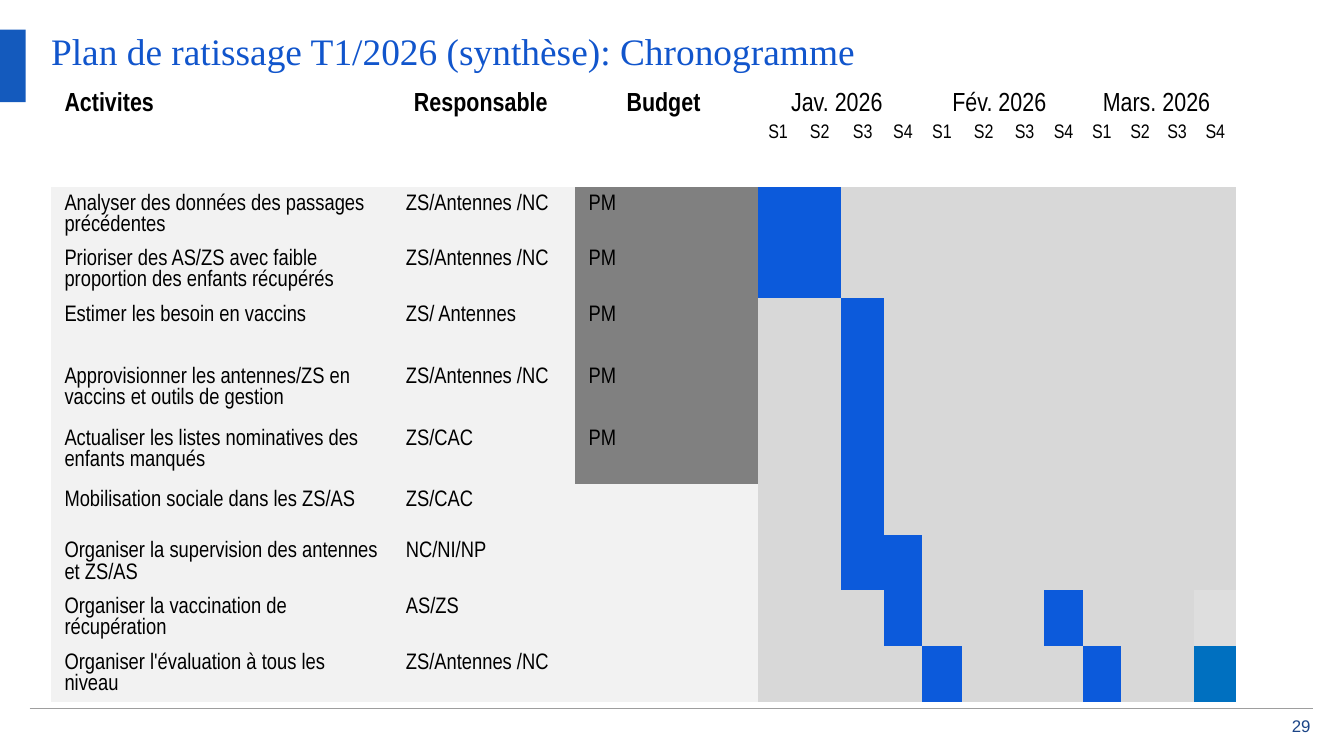
from lxml.etree import SubElement
from pptx import Presentation
from pptx.dml.color import RGBColor
from pptx.enum.shapes import MSO_CONNECTOR, MSO_SHAPE
from pptx.enum.text import MSO_ANCHOR, PP_ALIGN
from pptx.oxml.ns import qn
from pptx.util import Inches, Pt

BLACK = RGBColor(0x00, 0x00, 0x00)
ACCENT = RGBColor(0x14, 0x5A, 0xBD)
TITLE = RGBColor(0x11, 0x55, 0xCC)
NAVY = RGBColor(0x1C, 0x45, 0x87)
RULE = RGBColor(0x9E, 0x9E, 0x9E)
LIGHT = RGBColor(0xF2, 0xF2, 0xF2)
DARK = RGBColor(0x80, 0x80, 0x80)
IDLE = RGBColor(0xD8, 0xD8, 0xD8)
PALE = RGBColor(0xDE, 0xDE, 0xDE)
BUSY = RGBColor(0x0C, 0x5A, 0xDB)
FINAL = RGBColor(0x00, 0x70, 0xC0)

# Content: activity, owner, budget, weeks worked (0 to 11)
HEADINGS = ["Activites", "Responsable ", "Budget "]
MONTHS = ["Jav. 2026 ", "Fév. 2026 ", "Mars. 2026 "]
WEEKS_PER_MONTH = 4
ACTIVITIES = [
    ("Analyser des données des passages précédentes", "ZS/Antennes /NC", "PM", [0, 1]),
    ("Prioriser des AS/ZS avec faible proportion des enfants récupérés", "ZS/Antennes /NC", "PM", [0, 1]),
    ("Estimer les besoin en vaccins", "ZS/ Antennes", "PM", [2]),
    ("Approvisionner les antennes/ZS en vaccins et outils de gestion", "ZS/Antennes /NC", "PM", [2]),
    ("Actualiser les listes nominatives des enfants manqués", "ZS/CAC", "PM", [2]),
    ("Mobilisation sociale dans les ZS/AS", "ZS/CAC", "", [2]),
    ("Organiser la supervision des antennes et ZS/AS", "NC/NI/NP", "", [2, 3]),
    ("Organiser la vaccination de récupération", "AS/ZS", "", [3, 7]),
    ("Organiser l'évaluation à tous les niveau", "ZS/Antennes /NC", "", [4, 8]),
]
SPECIAL = {(7, 11): PALE, (8, 11): FINAL}  # (activity, week): colour

# Grid in inches
LEFT, TOP = 0.38, 0.64
COLS = [2.54, 1.36, 1.36, 0.3, 0.32, 0.32, 0.28, 0.3, 0.32, 0.29, 0.29, 0.28, 0.29, 0.26, 0.31]
ROWS = [0.28, 0.47] + [0.41] * 2 + [0.46] * 3 + [0.38] + [0.41] * 3
FIRST_WEEK, FIRST_ROW = len(HEADINGS), 2
CELL_LEADING = 0.94  # line height as a share of the text size
NO_STYLE = "{2D5ABB26-0587-4C30-8999-92F81FD0307C}"


def write(tf, text, size=12, font="Arial Narrow", color=BLACK, bold=False,
          align=PP_ALIGN.LEFT, leading=None):
    tf.word_wrap = True
    p = tf.paragraphs[0]
    p.alignment = align
    if leading:
        p.line_spacing = Pt(size * leading)
    p.font.size = Pt(size)
    if text:
        r = p.add_run()
        r.text = text
        r.font.size, r.font.name, r.font.bold = Pt(size), font, bold
        r.font.color.rgb = color


def add_text(s, box, text, anchor=MSO_ANCHOR.TOP, **fmt):
    tf = s.shapes.add_textbox(*map(Inches, box)).text_frame
    tf.margin_left = tf.margin_right = tf.margin_top = tf.margin_bottom = 0
    tf.vertical_anchor = anchor
    write(tf, text, **fmt)


def fill_cell(cell, text="", fill=None, inset=True, **fmt):
    cell.margin_left = cell.margin_right = Inches(0.1 if inset else 0)
    cell.margin_top = cell.margin_bottom = Inches(0.05 if inset else 0)
    if fill is None:
        cell.fill.background()
    else:
        cell.fill.solid()
        cell.fill.fore_color.rgb = fill
    write(cell.text_frame, text, leading=CELL_LEADING, **fmt)


prs = Presentation()
prs.slide_width, prs.slide_height = Inches(10), Inches(10 * 9 / 16)
s = prs.slides.add_slide(prs.slide_layouts[6])

# Side accent
bar = s.shapes.add_shape(MSO_SHAPE.RECTANGLE, 0, Inches(0.22), Inches(0.19), Inches(0.54))
bar.shadow.inherit = False
bar.fill.solid()
bar.fill.fore_color.rgb = ACCENT
bar.line.fill.background()

# Footer rule and page number
rule = s.shapes.add_connector(MSO_CONNECTOR.STRAIGHT, Inches(0.22), Inches(5.27), Inches(9.77), Inches(5.27))
rule.line.color.rgb = RULE
rule.line.width = Pt(0.75)
SubElement(rule._element.spPr, qn("a:effectLst"))
add_text(s, (9.56, 5.33, 0.19, 0.14), "29", MSO_ANCHOR.MIDDLE,
         size=9, font="Arial", color=NAVY, align=PP_ALIGN.RIGHT)

# Schedule table
frame = s.shapes.add_table(len(ROWS), len(COLS), Inches(LEFT), Inches(TOP),
                           Inches(sum(COLS)), Inches(sum(ROWS)))
table = frame.table
table.first_row = table.horz_banding = False
table._tbl.tblPr.find(qn("a:tableStyleId")).text = NO_STYLE
for col, width in zip(table.columns, COLS):
    col.width = Inches(width)
for row, height in zip(table.rows, ROWS):
    row.height = Inches(height)

# Headings, months and weeks
for c, text in enumerate(HEADINGS):
    table.cell(0, c).merge(table.cell(1, c))
    fill_cell(table.cell(0, c), text, size=14, bold=True,
              align=PP_ALIGN.CENTER if c else PP_ALIGN.LEFT)
for m, month in enumerate(MONTHS):
    start = FIRST_WEEK + m * WEEKS_PER_MONTH
    table.cell(0, start).merge(table.cell(0, start + WEEKS_PER_MONTH - 1))
    fill_cell(table.cell(0, start), month, size=14, align=PP_ALIGN.CENTER)
    for w in range(WEEKS_PER_MONTH):
        fill_cell(table.cell(1, start + w), f"S{w + 1}", inset=False, size=10.5, align=PP_ALIGN.CENTER)

# Activities and their bars
for i, (activity, owner, budget, weeks) in enumerate(ACTIVITIES):
    r = FIRST_ROW + i
    fill_cell(table.cell(r, 0), activity, LIGHT)
    fill_cell(table.cell(r, 1), owner, LIGHT)
    fill_cell(table.cell(r, 2), budget, DARK if budget else LIGHT)
    for w in range(len(MONTHS) * WEEKS_PER_MONTH):
        color = SPECIAL.get((i, w), BUSY if w in weeks else IDLE)
        fill_cell(table.cell(r, FIRST_WEEK + w), fill=color)

# Title
add_text(s, (LEFT, 0.21, 9.25, 0.43), "Plan de ratissage T1/2026 (synthèse): Chronogramme",
         size=20, font="Times New Roman", color=TITLE)

prs.save("out.pptx")
